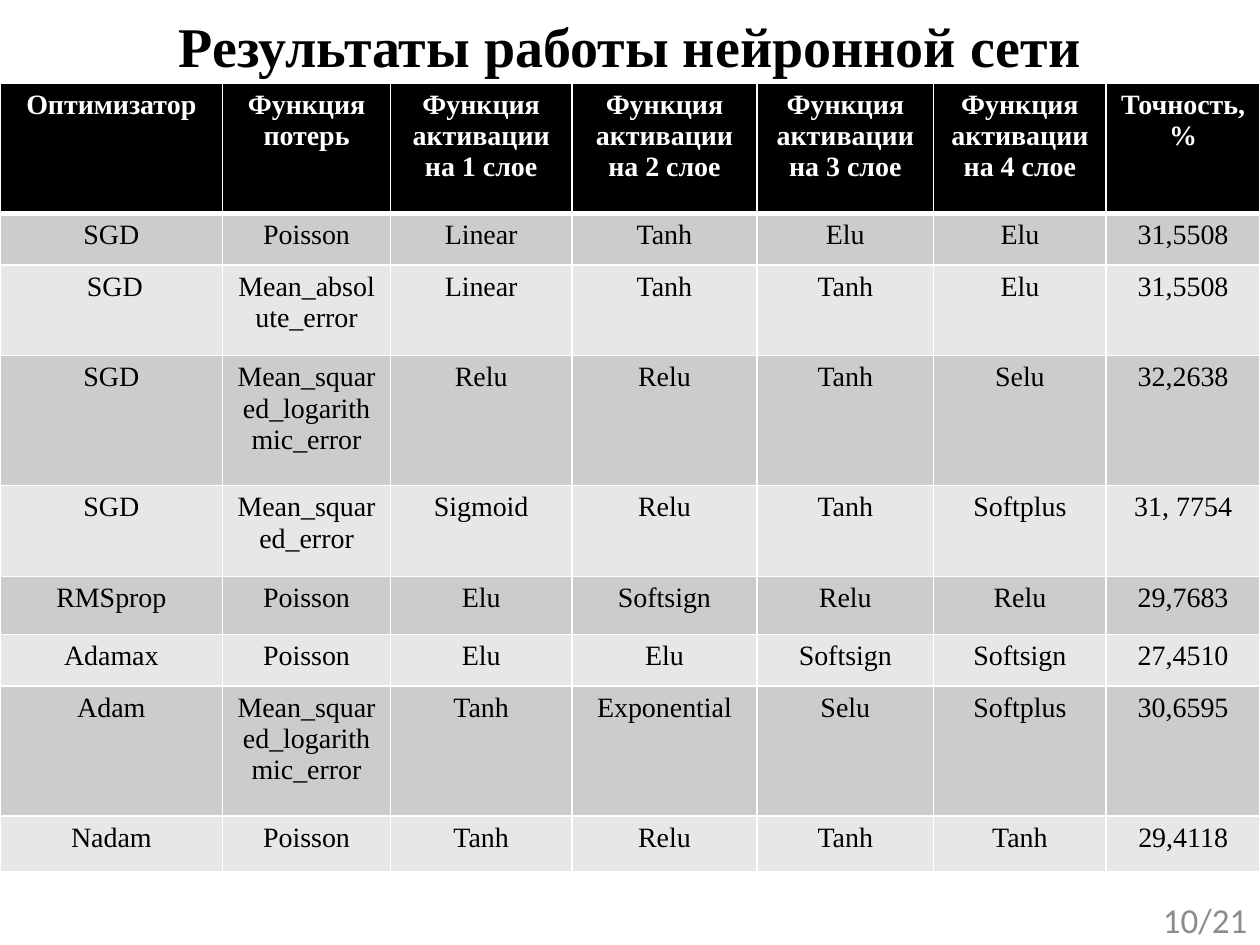
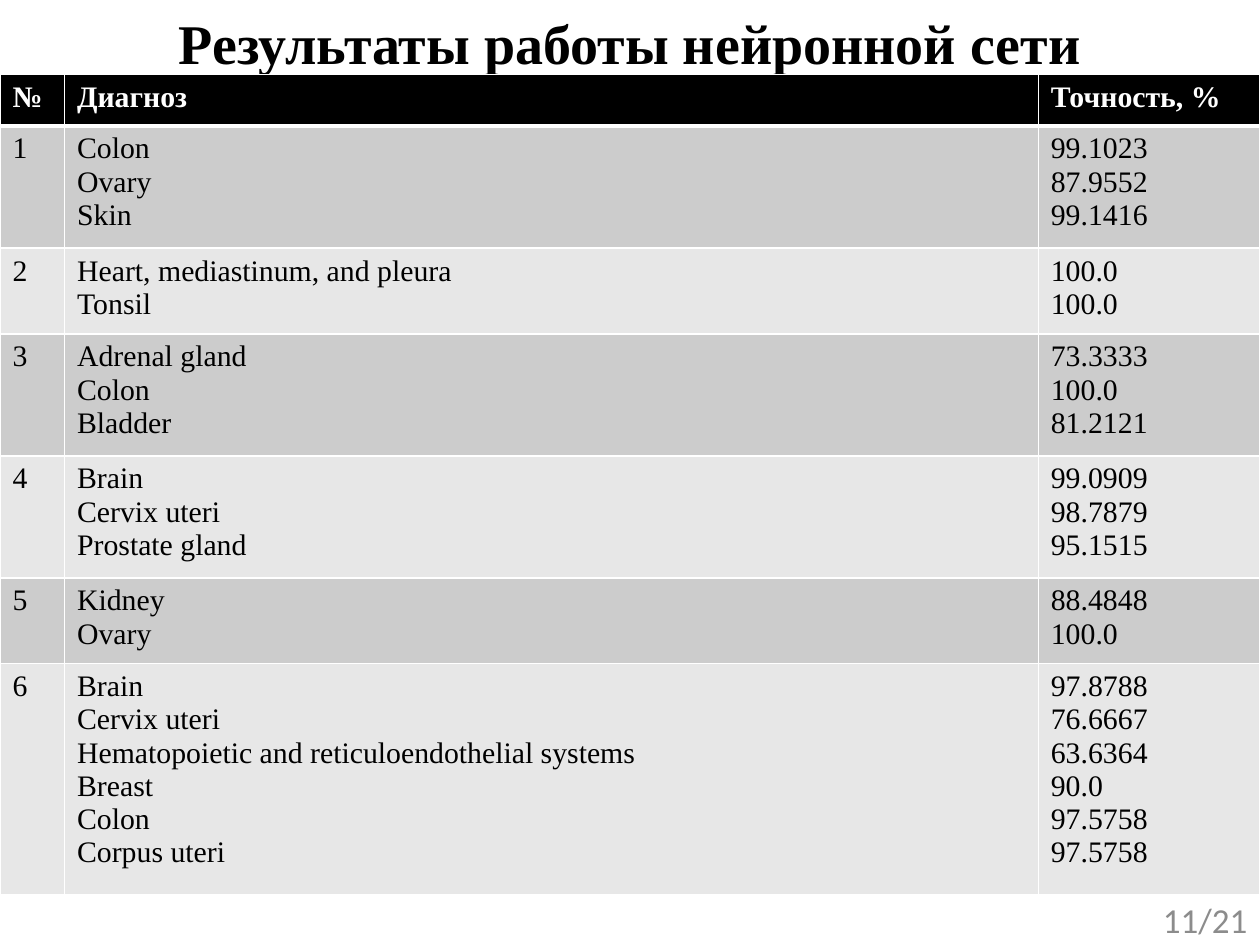
from pptx import Presentation
from pptx import util as u
from pptx.dml.color import RGBColor
from pptx.enum import text
from pptx.oxml.ns import qn
from lxml import etree

# Content
TITLE = "Результаты работы нейронной сети"
TOTAL = 21
MSLE = "Mean_squared_logarithmic_error"
NETS = [
    ["Оптимизатор", "Функция потерь"]
    + [f"Функция активации на {n} слое" for n in range(1, 5)]
    + ["Точность,%"],
    ["SGD", "Poisson", "Linear", "Tanh", "Elu", "Elu", "31,5508"],
    [" SGD", "Mean_absolute_error", "Linear", "Tanh", "Tanh", "Elu", "31,5508"],
    ["SGD", MSLE, "Relu", "Relu", "Tanh", "Selu", "32,2638"],
    ["SGD", "Mean_squared_error", "Sigmoid", "Relu", "Tanh", "Softplus", "31, 7754"],
    ["RMSprop", "Poisson", "Elu", "Softsign", "Relu", "Relu", "29,7683"],
    ["Adamax", "Poisson", "Elu", "Elu", "Softsign", "Softsign", "27,4510"],
    ["Adam", MSLE, "Tanh", "Exponential", "Selu", "Softplus", "30,6595"],
    ["Nadam", "Poisson", "Tanh", "Relu", "Tanh", "Tanh", "29,4118"],
]
ORGANS = [
    [("Colon", "99.1023"), ("Ovary", "87.9552"), ("Skin", "99.1416")],
    [("Heart, mediastinum, and pleura", "100.0"), ("Tonsil", "100.0")],
    [("Adrenal gland", "73.3333"), ("Colon", "100.0"), ("Bladder", "81.2121")],
    [("Brain", "99.0909"), ("Cervix uteri", "98.7879"),
     ("Prostate gland", "95.1515")],
    [("Kidney", "88.4848"), ("Ovary", "100.0")],
    [("Brain", "97.8788"), ("Cervix uteri", "76.6667"),
     ("Hematopoietic and reticuloendothelial systems", "63.6364"),
     ("Breast", "90.0"), ("Colon", "97.5758"), ("Corpus uteri", "97.5758")],
]
TESTS = [["№", "Диагноз", "Точность, %"]] + [
    [str(n)] + ["\n".join(part) for part in zip(*group)]
    for n, group in enumerate(ORGANS, 1)
]

# One entry per slide, lengths in cm; rows of the second grow with their lines
PAGES = [
    dict(num=10, high=1.75, top=1.68, cells=NETS, size=16,
         align=text.PP_ALIGN.CENTER,
         cols=[4.49, 3.38, 3.66, 3.73, 3.56, 3.48, 3.1],
         rows=[2.62, 1.04, 1.83, 2.62, 1.83, 1.17, 1.04, 2.62, 1.12]),
    dict(num=11, high=1.65, top=1.5, cells=TESTS, size=17,
         align=text.PP_ALIGN.LEFT,
         cols=[1.3, 19.63, 4.47],
         rows=[1.04] + [0.27 + 0.73 * len(group) for group in ORGANS]),
]

# Shared look
WIDE, TALL = 25.4, 19.05
SERIF, SANS = "Times New Roman", "Calibri"
BLACK, WHITE, GREY = "000000", "FFFFFF", "8C8C8C"
BANDS = ["CCCCCC", "E7E7E7"]


def color(code):
    return RGBColor.from_string(code)


def place(shape, left, top, wide, high):
    shape.left, shape.top = u.Cm(left), u.Cm(top)
    shape.width, shape.height = u.Cm(wide), u.Cm(high)


def style(frame, face, size, code, align, bold=False):
    for para in frame.paragraphs:
        para.alignment = align
        for run in para.runs:
            font = run.font
            font.name, font.size, font.bold = face, u.Pt(size), bold
            font.color.rgb = color(code)


def border(cell, row):
    """White rules, thicker between the head and the body."""
    props = cell._tc.get_or_add_tcPr()
    thick = {"T": row == 1, "B": row == 0}
    for side in "LRTB":
        line = etree.SubElement(props, qn(f"a:ln{side}"),
                                w=str(u.Pt(3 if thick.get(side) else 1)))
        fill = etree.SubElement(line, qn("a:solidFill"))
        etree.SubElement(fill, qn("a:srgbClr"), val=WHITE)


def add_grid(slide, page):
    cells, cols, rows = page["cells"], page["cols"], page["rows"]
    grid = slide.shapes.add_table(
        len(rows), len(cols), u.Cm(0), u.Cm(page["top"]),
        u.Cm(sum(cols)), u.Cm(sum(rows))).table
    for col, wide in zip(grid.columns, cols):
        col.width = u.Cm(wide)
    for row, high in zip(grid.rows, rows):
        row.height = u.Cm(high)
    for r, line in enumerate(cells):
        head = r == 0
        for c, words in enumerate(line):
            cell = grid.cell(r, c)
            cell.text_frame.text = words
            style(cell.text_frame, SERIF, page["size"],
                  WHITE if head else BLACK, page["align"], head)
            border(cell, r)
            cell.fill.solid()
            cell.fill.fore_color.rgb = color(BLACK if head else BANDS[(r - 1) % 2])


def add_page(deck, page):
    slide = deck.slides.add_slide(deck.slide_layouts[5])

    # Title
    title = slide.shapes.title
    place(title, 0, 0.03, WIDE, page["high"])
    title.text_frame.text = TITLE
    title.text_frame.vertical_anchor = text.MSO_ANCHOR.MIDDLE
    style(title.text_frame, SERIF, 32, BLACK, text.PP_ALIGN.CENTER, True)

    # Page number
    foot = slide.shapes.add_textbox(0, 0, 0, 0)
    place(foot, 19.48, 18.03, 5.92, 1.02)
    frame = foot.text_frame
    frame.word_wrap = True
    frame.vertical_anchor = text.MSO_ANCHOR.MIDDLE
    frame.text = f"{page['num']}/{TOTAL}"
    style(frame, SANS, 20, GREY, text.PP_ALIGN.RIGHT)

    add_grid(slide, page)


def main():
    deck = Presentation()
    deck.slide_width, deck.slide_height = u.Cm(WIDE), u.Cm(TALL)
    for page in PAGES:
        add_page(deck, page)
    deck.save("out.pptx")


if __name__ == "__main__":
    main()
